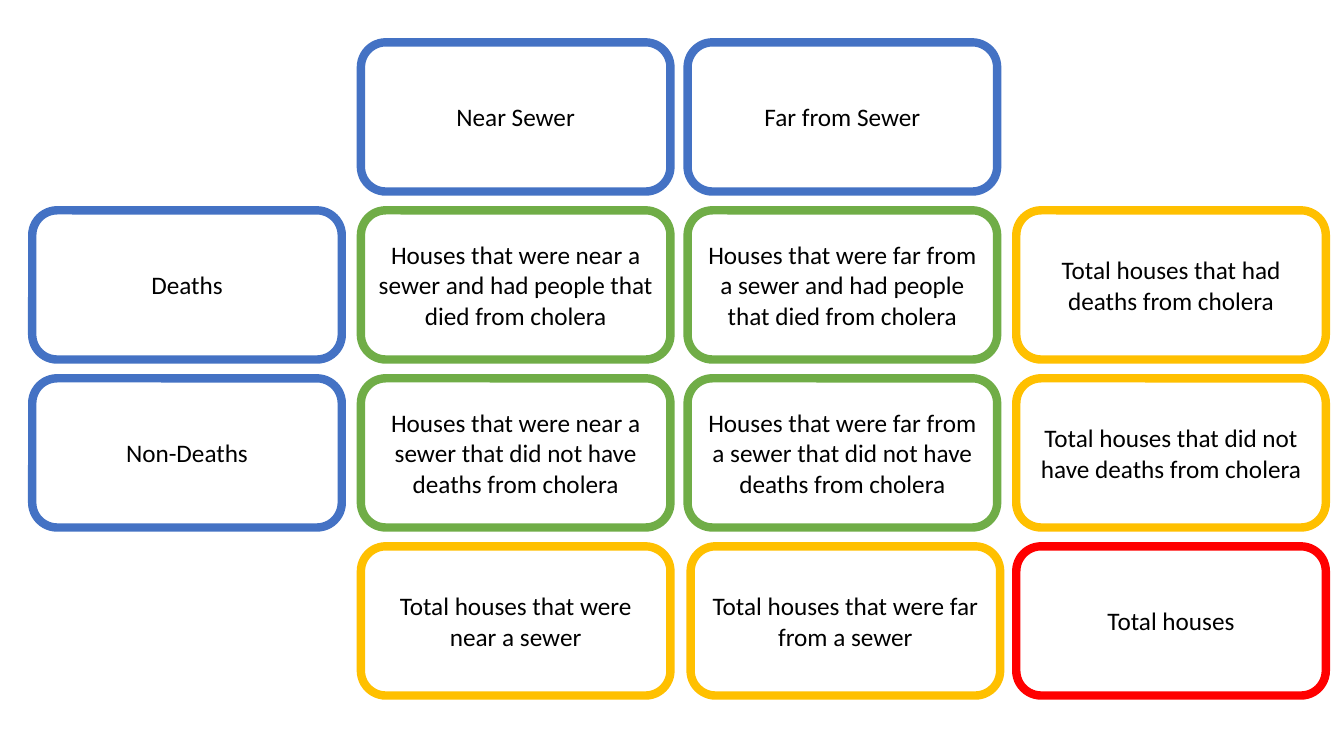
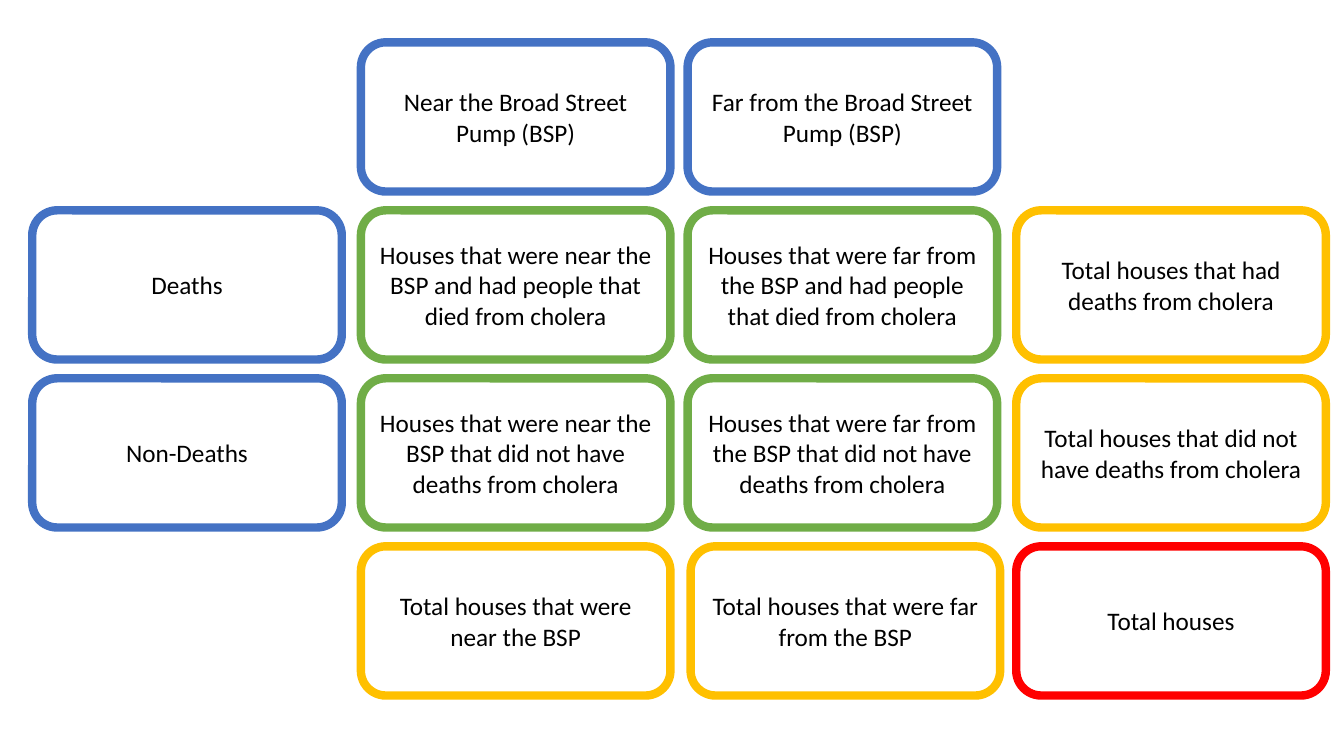
"""Build two contingency-grid slides on cholera deaths and nearby sources."""
from pptx import Presentation
from pptx.dml.color import RGBColor
from pptx.enum.shapes import MSO_SHAPE
from pptx.enum.text import MSO_ANCHOR, PP_ALIGN
from pptx.util import Inches, Pt

BLUE = RGBColor(0x44, 0x72, 0xC4)
GREEN = RGBColor(0x70, 0xAD, 0x47)
GOLD = RGBColor(0xFF, 0xC0, 0x00)
RED = RGBColor(0xFF, 0x00, 0x00)
WHITE = RGBColor(0xFF, 0xFF, 0xFF)
BLACK = RGBColor(0x00, 0x00, 0x00)
FONT = "Calibri"

SOURCES = [("Sewer", "a sewer"), ("the Broad Street Pump (BSP)", "the BSP")]

GRID = [
    [None, ("Near {header}", BLUE), ("Far from {header}", BLUE), None],
    [("Deaths", BLUE),
     ("Houses that were near {place} and had people that died from cholera", GREEN),
     ("Houses that were far from {place} and had people that died from cholera", GREEN),
     ("Total houses that had deaths from cholera", GOLD)],
    [("Non-Deaths", BLUE),
     ("Houses that were near {place} that did not have deaths from cholera", GREEN),
     ("Houses that were far from {place} that did not have deaths from cholera", GREEN),
     ("Total houses that did not have deaths from cholera", GOLD)],
    [None, ("Total houses that were near {place}", GOLD),
     ("Total houses that were far from {place}", GOLD),
     ("Total houses", RED)],
]

COLUMNS = [0.32, 3.58, 6.82, 10.08]
FAR_TOTAL_LEFT = 6.85
TOP, BOTTOM_ROW_TOP = 0.42, 5.42
ROW_PITCH = (BOTTOM_ROW_TOP - TOP) / (len(GRID) - 1)
BOX_W, BOX_H = 3.07, 1.48


def add_box(s, left, top, text, color):
    sp = s.shapes.add_shape(MSO_SHAPE.ROUNDED_RECTANGLE, Inches(left), Inches(top),
                            Inches(BOX_W), Inches(BOX_H))
    sp.shadow.inherit = False
    sp.fill.solid()
    sp.fill.fore_color.rgb = WHITE
    sp.line.color.rgb = color
    sp.line.width = Pt(6)
    tf = sp.text_frame
    tf.word_wrap = True
    tf.vertical_anchor = MSO_ANCHOR.MIDDLE
    tf.text = text
    p = tf.paragraphs[0]
    p.alignment = PP_ALIGN.CENTER
    font = p.runs[0].font
    font.name, font.size = FONT, Pt(18)
    font.color.rgb = BLACK


def add_grid(s, header, place):
    for row, cells in enumerate(GRID):
        for col, cell in enumerate(cells):
            if cell:
                text, color = cell
                is_far_total = (row, col) == (3, 2)
                left = FAR_TOTAL_LEFT if is_far_total else COLUMNS[col]
                add_box(s, left, TOP + row * ROW_PITCH,
                        text.format(header=header, place=place), color)


def main():
    prs = Presentation()
    prs.slide_width, prs.slide_height = Inches(13.33), Inches(7.5)
    for header, place in SOURCES:
        s = prs.slides.add_slide(prs.slide_layouts[6])
        add_grid(s, header, place)
    prs.save("out.pptx")


if __name__ == "__main__":
    main()
